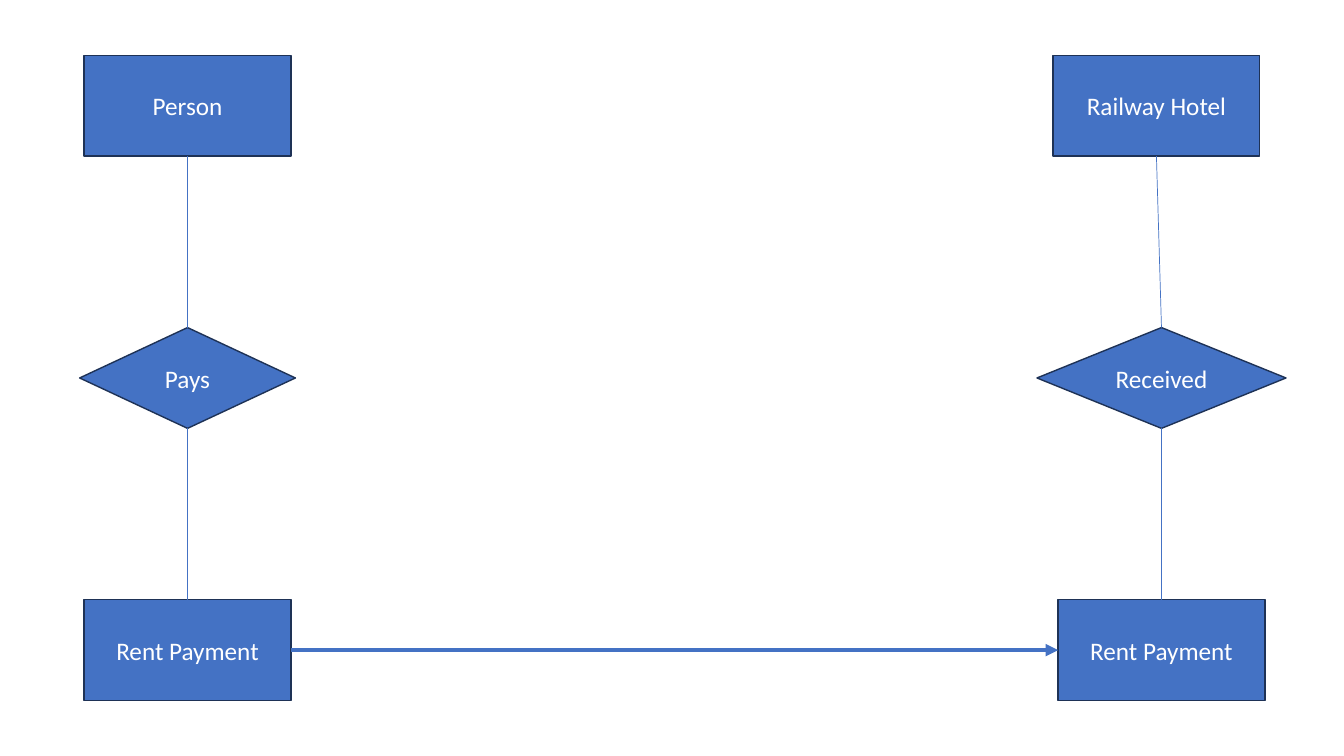
import pptx
import pptx.util
import pptx.dml.color
import pptx.enum.shapes
import pptx.enum.text
import pptx.oxml.ns
import lxml.etree

Inches, Pt = pptx.util.Inches, pptx.util.Pt
SHAPE = pptx.enum.shapes.MSO_SHAPE

COLORS = {"fill": "4472C4", "outline": "1E3256", "text": "FFFFFF"}
FONT = "Calibri"
ENTITY, RELATION = SHAPE.RECTANGLE, SHAPE.FLOWCHART_DECISION
ENTITY_WIDTH, HEIGHT = 2.05, 1
TOP, ROW_STEP = 0.55, 2.7

# Nodes: key, label, kind, center x, row, width
NODES = [
    ("person", "Person", ENTITY, 1.86, 0, ENTITY_WIDTH),
    ("hotel", "Railway Hotel", ENTITY, 11.47, 0, ENTITY_WIDTH),
    ("paid", "Rent Payment", ENTITY, 1.86, 2, ENTITY_WIDTH),
    ("income", "Rent Payment", ENTITY, 11.52, 2, ENTITY_WIDTH),
    ("pays", "Pays", RELATION, 1.86, 1, 2.14),
    ("received", "Received", RELATION, 11.52, 1, 2.47),
]

# Links: start node and site, end node and site, width in points, arrowhead
UP, LEFT, DOWN, RIGHT = range(4)
LINKS = [
    ("person", DOWN, "pays", UP, 0.5, False),
    ("pays", DOWN, "paid", UP, 0.5, False),
    ("hotel", DOWN, "received", UP, 0.5, False),
    ("received", DOWN, "income", UP, 0.5, False),
    ("paid", RIGHT, "income", LEFT, 3, True),
]


def color(name):
    return pptx.dml.color.RGBColor.from_string(COLORS[name])


def add_node(page, label, kind, center, row, width):
    box = page.shapes.add_shape(
        kind, Inches(center - width / 2), Inches(TOP + row * ROW_STEP),
        Inches(width), Inches(HEIGHT))
    box.shadow.inherit = False
    box.fill.solid()
    box.fill.fore_color.rgb = color("fill")
    box.line.color.rgb = color("outline")
    box.line.width = Pt(1)
    frame = box.text_frame
    frame.text = label
    frame.word_wrap = True
    frame.vertical_anchor = pptx.enum.text.MSO_ANCHOR.MIDDLE
    para = frame.paragraphs[0]
    para.alignment = pptx.enum.text.PP_ALIGN.CENTER
    font = para.runs[0].font
    font.name, font.size = FONT, Pt(18)
    font.color.rgb = color("text")
    return box


def add_link(page, start, start_site, end, end_site, width, arrow):
    link = page.shapes.add_connector(
        pptx.enum.shapes.MSO_CONNECTOR.STRAIGHT, 0, 0, 0, 0)
    link.begin_connect(start, start_site)
    link.end_connect(end, end_site)
    link.line.color.rgb = color("fill")
    link.line.width = Pt(width)
    qn = pptx.oxml.ns.qn
    properties = link._element.spPr
    if arrow:
        outline = properties.find(qn("a:ln"))
        lxml.etree.SubElement(outline, qn("a:tailEnd"), type="triangle")
    lxml.etree.SubElement(properties, qn("a:effectLst"))


deck = pptx.Presentation()
deck.slide_width, deck.slide_height = Inches(13.33), Inches(7.5)
page = deck.slides.add_slide(deck.slide_layouts[6])

# Entities and relations
boxes = {key: add_node(page, *node) for key, *node in NODES}

# Connecting lines and the payment arrow
for start, start_site, end, end_site, width, arrow in LINKS:
    add_link(page, boxes[start], start_site, boxes[end], end_site, width, arrow)

deck.save("out.pptx")
